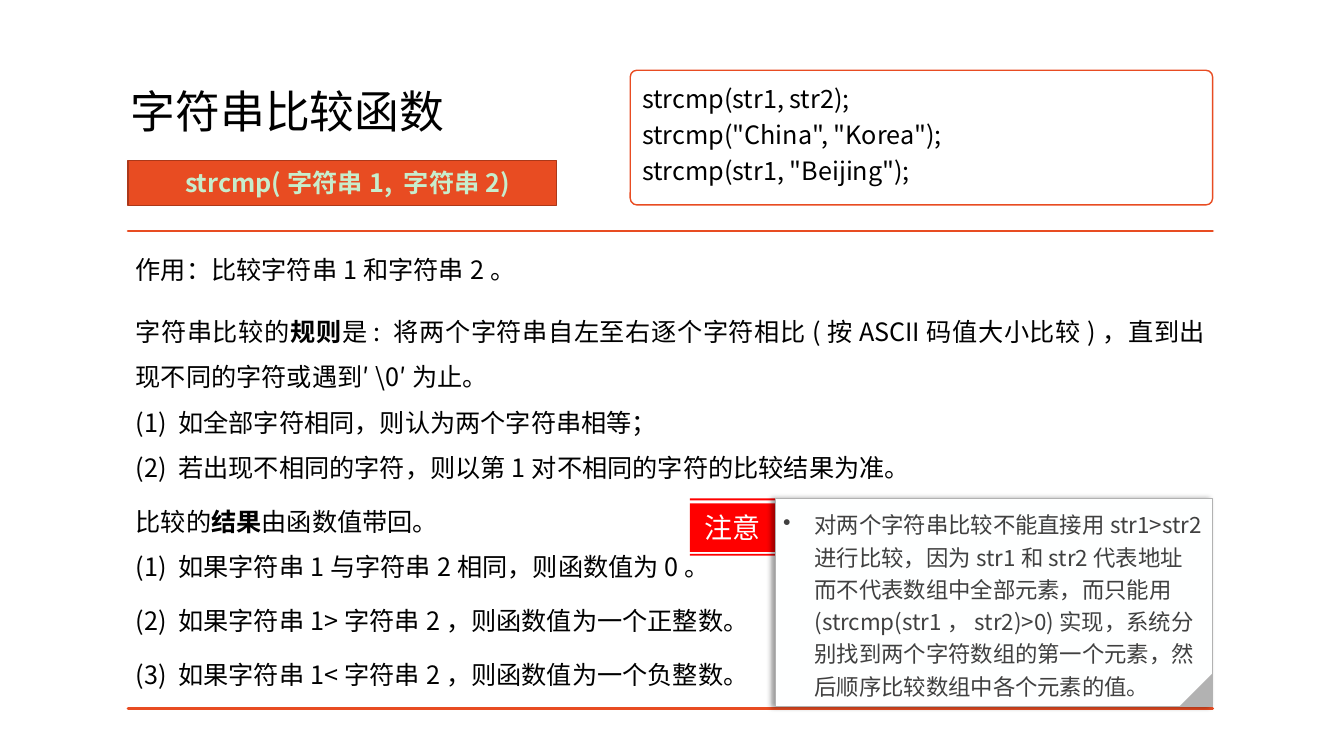
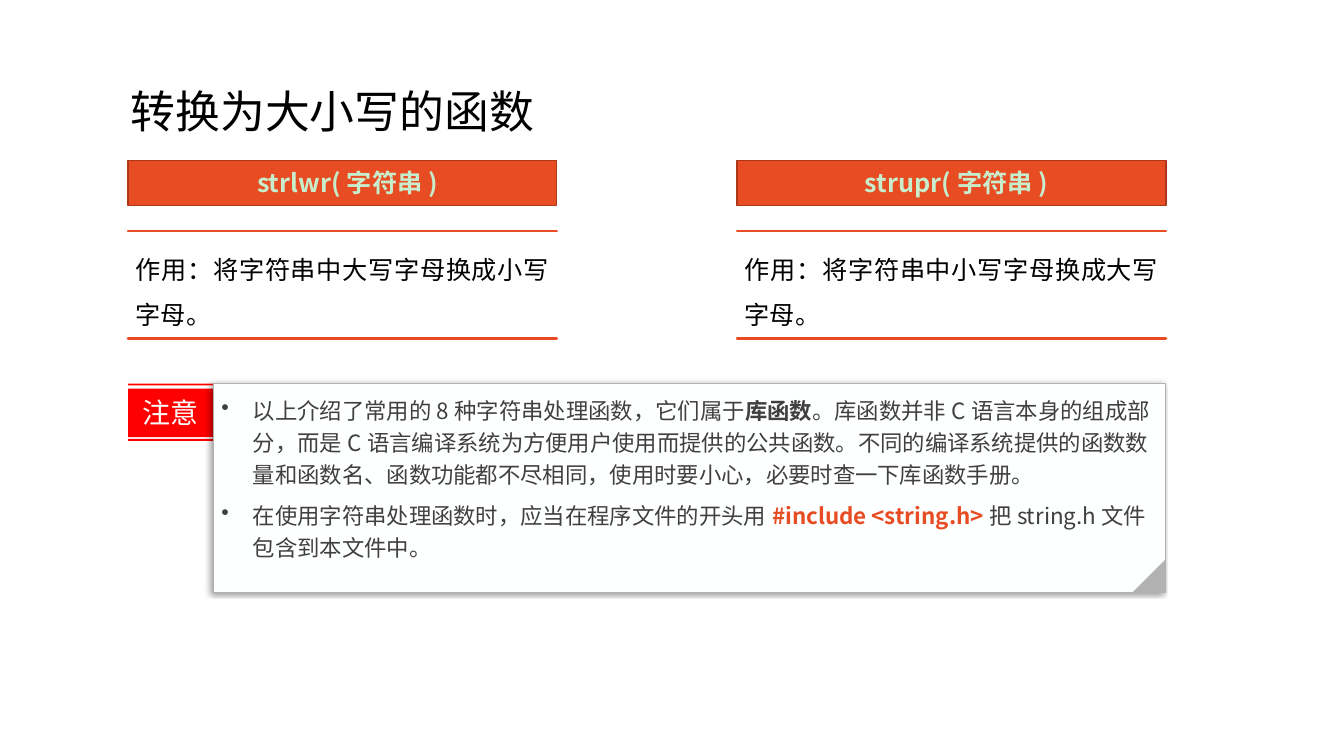
"""Build two slides on C string functions: comparing, and changing case."""
from lxml.etree import SubElement
from pptx import Presentation
from pptx.dml.color import RGBColor
from pptx.enum.shapes import MSO_SHAPE as SHAPE
from pptx.enum.text import MSO_ANCHOR as ANCHOR, PP_ALIGN as ALIGN
from pptx.oxml.ns import qn
from pptx.util import Pt

FONT = "Noto Sans CJK SC"
ORANGE, RUST, MINT, RED = "E84C22", "AC3819", "C7EDCC", "FF0000"
WHITE, PAPER, BLACK, DARK, GREY = "FFFFFF", "FEFFFF", "000000", "404040", "B2B2B2"
LEFT, BANNER_TOP, BANNER_HEIGHT, RULE_TOP = 91.5, 114.6, 32, 165
COLUMN, FULL = 306.2, 774.7
TAG_WIDTH, NOTE_HEIGHT, FOLD = 61.2, 149, 23.8
TAG_BANDS = [(0, 1.4), (3.6, 38.2), (39.6, 41)]
EVEN = (5.4, 5.6, 5.4, 5.6)
USUAL = (7.2, 3.6, 7.2, 3.6)
tint = RGBColor.from_string


def style(shape, fill=None, line=None, width=1):
    """Give a shape a flat fill and an outline, either of them optional, without shadow."""
    shape.shadow.inherit = False
    if fill:
        shape.fill.solid()
        shape.fill.fore_color.rgb = tint(fill)
    else:
        shape.fill.background()
    if line:
        shape.line.color.rgb = tint(line)
        shape.line.width = Pt(width)
    else:
        shape.line.fill.background()


def write(shape, items, size=18, color=BLACK, bold=False, align=ALIGN.LEFT, spacing=1.0,
          anchor=ANCHOR.TOP, insets=USUAL, bullet=None):
    """Write (before, after, *spans) items; a (text, colour) span is emphasised."""
    frame = shape.text_frame
    frame.word_wrap, frame.vertical_anchor = True, anchor
    frame.margin_left, frame.margin_top, frame.margin_right, frame.margin_bottom = map(Pt, insets)
    for index, (before, after, *spans) in enumerate(items):
        para = frame.add_paragraph() if index else frame.paragraphs[0]
        para.alignment, para.line_spacing = align, spacing
        para.space_before, para.space_after = Pt(before), Pt(after)
        if bullet:
            properties = para._p.get_or_add_pPr()
            properties.set("marL", str(Pt(22.5)))
            properties.set("indent", str(Pt(-22.5)))
            SubElement(properties, qn("a:buChar"), char=bullet)
        for span in spans:
            strong = isinstance(span, tuple)
            text, shade = span if strong else (span, color)
            run = para.add_run()
            run.text = text
            run.font.name, run.font.size, run.font.bold = FONT, Pt(size), bold or strong
            run.font.color.rgb = tint(shade)
            SubElement(run._r.get_or_add_rPr(), qn("a:ea"), typeface=FONT)


compare_text = [
    (6, 6, "作用：比较字符串1和字符串2。"),
    (6, 0, "字符串比较的", ("规则", BLACK),
     "是: 将两个字符串自左至右逐个字符相比(按ASCII码值大小比较)，直到出现不同的字符或遇到′\\0′为止。"),
    (0, 0, "(1) 如全部字符相同，则认为两个字符串相等；"),
    (0, 0, "(2) 若出现不相同的字符，则以第1对不相同的字符的比较结果为准。"),
    (6, 0, "比较的", ("结果", BLACK), "由函数值带回。"),
    (0, 6, "(1) 如果字符串1与字符串2相同，则函数值为0。"),
    (0, 6, "(2) 如果字符串1>字符串2，则函数值为一个正整数。"),
    (0, 6, "(3) 如果字符串1<字符串2，则函数值为一个负整数。"),
]
compare_note = [
    (0, 6, "对两个字符串比较不能直接用str1>str2进行比较，因为str1和str2代表地址而不代表数组中全部元素，"
     "而只能用 (strcmp(str1，str2)>0)实现，系统分别找到两个字符数组的第一个元素，"
     "然后顺序比较数组中各个元素的值。"),
]
case_note = [
    (0, 6, "以上介绍了常用的8种字符串处理函数，它们属于", ("库函数", DARK),
     "。库函数并非C语言本身的组成部分，而是C语言编译系统为方便用户使用而提供的公共函数。"
     "不同的编译系统提供的函数数量和函数名、函数功能都不尽相同，使用时要小心，必要时查一下库函数手册。"),
    (0, 6, "在使用字符串处理函数时，应当在程序文件的开头用", ("#include <string.h>", ORANGE),
     "把string.h文件包含到本文件中。"),
]
lower_text = [(6, 6, "作用：将字符串中大写字母换成小写字母。")]
upper_text = [(6, 6, "作用：将字符串中小写字母换成大写字母。")]
calls = ["strcmp(str1, str2);", 'strcmp("China", "Korea");', 'strcmp(str1, "Beijing");']

pages = [
    {"title": "字符串比较函数", "calls": calls,
     "functions": [("strcmp(字符串1, 字符串2)", LEFT, FULL, 506.2, compare_text)],
     "note": (492.7, 356, 312, compare_note)},
    {"title": "转换为大小写的函数", "calls": [],
     "functions": [("strlwr(字符串)", LEFT, COLUMN, 241.7, lower_text),
                   ("strupr(字符串)", 526.6, COLUMN, 241.7, upper_text)],
     "note": (LEFT, 274, 680.2, case_note)},
]

deck = Presentation()
deck.slide_width, deck.slide_height = Pt(960), Pt(540)

for content in pages:
    page = deck.slides.add_slide(deck.slide_layouts[6])
    shapes = page.shapes
    page.background.fill.solid()
    page.background.fill.fore_color.rgb = tint(WHITE)

    title = shapes.add_textbox(Pt(86.2), Pt(29.3), Pt(466.6), Pt(104.4))
    write(title, [(0, 0, content["title"])], size=32, spacing=0.9, anchor=ANCHOR.MIDDLE)

    for name, left, width, bottom, body in content["functions"]:
        banner = shapes.add_shape(SHAPE.RECTANGLE, Pt(left), Pt(BANNER_TOP),
                                  Pt(COLUMN), Pt(BANNER_HEIGHT))
        style(banner, ORANGE, RUST)
        write(banner, [(0, 0, name)], color=MINT, bold=True, align=ALIGN.CENTER,
              anchor=ANCHOR.MIDDLE, insets=(14.4, 3.6, 7.2, 3.6))
        rules = shapes.build_freeform(Pt(left), Pt(bottom))
        rules.add_line_segments([(Pt(left + width), Pt(bottom))], close=True)
        rules.move_to(Pt(left), Pt(RULE_TOP))
        rules.add_line_segments([(Pt(left + width), Pt(RULE_TOP))], close=True)
        box = rules.convert_to_shape()
        style(box, line=ORANGE, width=2)
        write(box, body, align=ALIGN.JUSTIFY, spacing=1.5, insets=EVEN)

    if content["calls"]:
        examples = shapes.add_shape(SHAPE.ROUNDED_RECTANGLE, Pt(450.2), Pt(50.2),
                                    Pt(416), Pt(96.2))
        examples.adjustments[0] = 0.05
        style(examples, WHITE, ORANGE)
        write(examples, [(0, 0, call) for call in content["calls"]],
              align=ALIGN.JUSTIFY, spacing=1.2)

    left, top, width, body = content["note"]
    note_left = left + TAG_WIDTH
    outline = None
    for start, end in TAG_BANDS:
        corners = [(Pt(x), Pt(top + y)) for x, y in
                   [(left, start), (note_left, start), (note_left, end), (left, end)]]
        if outline is None:
            outline = shapes.build_freeform(*corners[0])
        else:
            outline.move_to(*corners[0])
        outline.add_line_segments(corners[1:], close=True)
    tag = outline.convert_to_shape()
    style(tag, RED)
    write(tag, [(0, 0, "注意")], size=20, color=PAPER, align=ALIGN.CENTER, anchor=ANCHOR.MIDDLE)

    note = shapes.add_shape(SHAPE.RECTANGLE, Pt(note_left), Pt(top), Pt(width), Pt(NOTE_HEIGHT))
    style(note, PAPER, GREY, 0.75)
    shadow = SubElement(note._element.spPr.find(qn("a:effectLst")), qn("a:outerShdw"),
                        blurRad=str(Pt(4)), dist=str(Pt(3)), dir="10800000",
                        algn="r", rotWithShape="0")
    shade = SubElement(shadow, qn("a:srgbClr"), val=BLACK)
    SubElement(shade, qn("a:alpha"), val="40000")
    write(note, body, size=16, color=DARK, spacing=1.2, insets=EVEN, bullet="•")

    fold = shapes.add_shape(SHAPE.RIGHT_TRIANGLE, Pt(note_left + width - FOLD),
                            Pt(top + NOTE_HEIGHT - FOLD), Pt(FOLD), Pt(FOLD))
    fold.rotation = 270
    style(fold, GREY)

deck.save("out.pptx")
